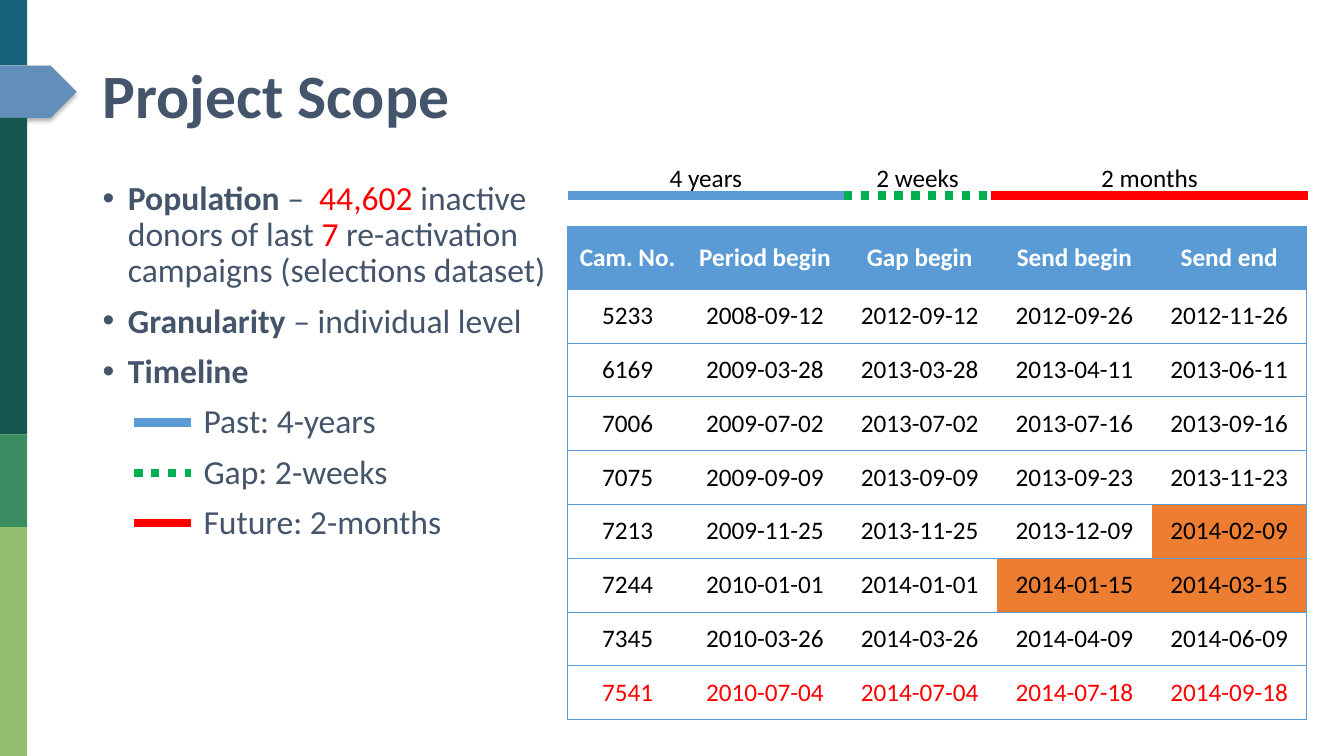
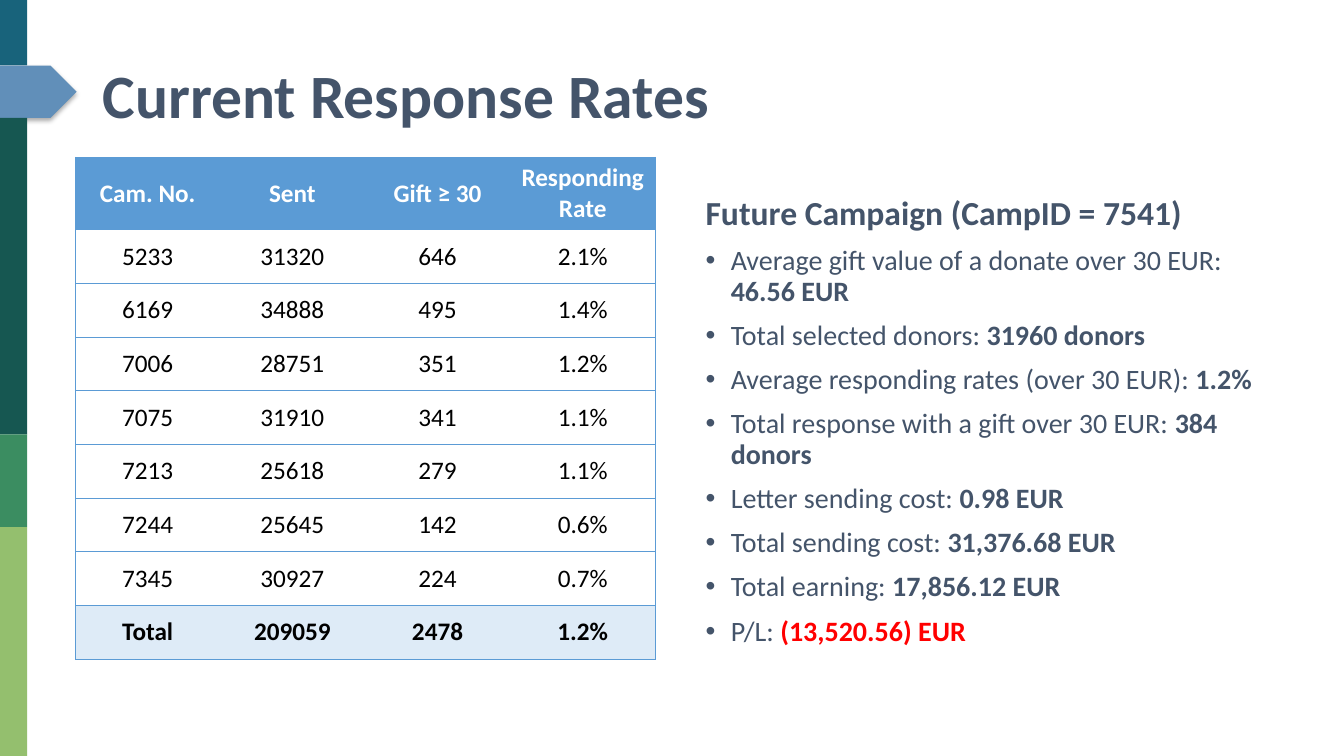
from lxml import etree
from pptx import Presentation
from pptx.dml.color import RGBColor
from pptx.enum.dml import MSO_LINE
from pptx.enum.shapes import MSO_CONNECTOR, MSO_SHAPE
from pptx.enum.text import MSO_ANCHOR, PP_ALIGN
from pptx.oxml.ns import qn
from pptx.util import Inches, Pt

RECT, ARROW = MSO_SHAPE.RECTANGLE, MSO_SHAPE.PENTAGON
STRAIGHT, DOTTED = MSO_CONNECTOR.STRAIGHT, MSO_LINE.ROUND_DOT
CENTER, LEFT = PP_ALIGN.CENTER, PP_ALIGN.LEFT
TOP, MIDDLE = MSO_ANCHOR.TOP, MSO_ANCHOR.MIDDLE

FONT = "Calibri"
SLATE, BLUE, GREEN, RED = "44546A", "5B9BD5", "00B050", "FF0000"
ORANGE, PALE, BLACK, WHITE = "ED7D31", "DEEBF7", "000000", "FFFFFF"
NO_TABLE_STYLE = "{2D5ABB26-0587-4C30-8999-92F81FD0307C}"

# Side band: shape, top, width, height, colour
BAND = [
    (RECT, 0, 0.27, 0.65, "18637B"),
    (ARROW, 0.65, 0.76, 0.52, "618FB9"),
    (RECT, 1.17, 0.27, 3.14, "165751"),
    (RECT, 4.31, 0.27, 0.92, "3B8D61"),
    (RECT, 5.23, 0.27, 2.27, "94BF6E"),
]

# Timeline: start, end, label, legend, colour, dash
PHASES = [
    (5.63, 8.37, "4 years", "Past: 4-years", BLUE, None),
    (8.37, 9.83, "2 weeks", "Gap: 2-weeks", GREEN, DOTTED),
    (9.83, 12.97, "2 months", "Future: 2-months", RED, None),
]

CAMPAIGNS = [
    ["Cam. No.", "Period begin", "Gap begin", "Send begin", "Send end"],
    ["5233", "2008-09-12", "2012-09-12", "2012-09-26", "2012-11-26"],
    ["6169", "2009-03-28", "2013-03-28", "2013-04-11", "2013-06-11"],
    ["7006", "2009-07-02", "2013-07-02", "2013-07-16", "2013-09-16"],
    ["7075", "2009-09-09", "2013-09-09", "2013-09-23", "2013-11-23"],
    ["7213", "2009-11-25", "2013-11-25", "2013-12-09", "2014-02-09"],
    ["7244", "2010-01-01", "2014-01-01", "2014-01-15", "2014-03-15"],
    ["7345", "2010-03-26", "2014-03-26", "2014-04-09", "2014-06-09"],
    ["7541", "2010-07-04", "2014-07-04", "2014-07-18", "2014-09-18"],
]
OVERLAPS = [(5, 4), (6, 3), (6, 4)]

RATES = [
    ["Cam. No.", "Sent", "Gift ≥ 30", "Responding\nRate"],
    ["5233", "31320", "646", "2.1%"],
    ["6169", "34888", "495", "1.4%"],
    ["7006", "28751", "351", "1.2%"],
    ["7075", "31910", "341", "1.1%"],
    ["7213", "25618", "279", "1.1%"],
    ["7244", "25645", "142", "0.6%"],
    ["7345", "30927", "224", "0.7%"],
    ["Total", "209059", "2478", "1.2%"],
]

FORECAST = [
    ("Average gift value of a donate over 30 EUR: ", "46.56 EUR", SLATE),
    ("Total selected donors: ", "31960 donors", SLATE),
    ("Average responding rates (over 30 EUR): ", "1.2%", SLATE),
    ("Total response with a gift over 30 EUR: ", "384 donors", SLATE),
    ("Letter sending cost: ", "0.98 EUR", SLATE),
    ("Total sending cost: ", "31,376.68 EUR", SLATE),
    ("Total earning: ", "17,856.12 EUR", SLATE),
    ("P/L: ", "(13,520.56) EUR", RED),
]


def rgb(color):
    return RGBColor.from_string(color)


def add_xml(parent, tag, **attrs):
    return etree.SubElement(parent, qn(tag), attrs)


# Text
def style_font(font, size=24, color=SLATE, bold=False):
    font.name, font.size, font.bold = FONT, Pt(size), bold
    font.color.rgb = rgb(color)


def add_run(p, text, **fmt):
    r = p.add_run()
    r.text = text
    style_font(r.font, **fmt)


def text_box(s, x, y, w, h, anchor=TOP):
    tf = s.shapes.add_textbox(Inches(x), Inches(y), Inches(w), Inches(h)).text_frame
    tf.word_wrap = True
    tf.vertical_anchor = anchor
    return tf


def add_paragraph(tf, runs, bullet=False, indent=0, spacing=0.9, align=LEFT):
    """Add one paragraph; runs is a list of (text, format) pairs."""
    first = not tf.paragraphs[0].runs
    p = tf.paragraphs[0] if first else tf.add_paragraph()
    pPr = p._p.get_or_add_pPr()
    if bullet:
        indent = 0.25
        pPr.set("indent", str(-Inches(indent)))
        add_xml(pPr, "a:buFont", typeface="Arial")
        add_xml(pPr, "a:buChar", char="•")
    pPr.set("marL", str(Inches(indent)))
    p.alignment, p.line_spacing = align, spacing
    p.space_before = Pt(0 if first else 10)
    for text, fmt in runs:
        add_run(p, text, **fmt)


# Shapes and lines
def band_shape(s, kind, y, w, h, color):
    sp = s.shapes.add_shape(kind, 0, Inches(y), Inches(w), Inches(h))
    sp.fill.solid()
    sp.fill.fore_color.rgb = rgb(color)
    sp.line.fill.background()
    sp.shadow.inherit = False
    if kind == ARROW:
        effects = sp._element.spPr.find(qn("a:effectLst"))
        shadow = add_xml(effects, "a:outerShdw", blurRad=str(Pt(3.5)), dist=str(Pt(2.2)),
                         dir="5400000", algn="t", rotWithShape="0")
        add_xml(add_xml(shadow, "a:srgbClr", val=BLACK), "a:alpha", val="32000")


def thick_line(s, x1, x2, y, color, dash):
    ln = s.shapes.add_connector(STRAIGHT, Inches(x1), Inches(y), Inches(x2), Inches(y))
    ln.line.color.rgb = rgb(color)
    ln.line.width = Pt(6)
    if dash:
        ln.line.dash_style = dash
    add_xml(ln._element.spPr, "a:effectLst")


# Tables
def cell_borders(cell, sides):
    tcPr = cell._tc.get_or_add_tcPr()
    for side in sides:
        ln = add_xml(tcPr, f"a:ln{side}", w=str(Pt(0.5)))
        add_xml(add_xml(ln, "a:solidFill"), "a:srgbClr", val=BLUE)


def data_table(s, rows, x, y, w, h, first_col, header, last_row, fills):
    """Blue header, ruled rows; last_row formats the last row, fills maps cells to colours."""
    n_rows, n_cols = len(rows), len(rows[0])
    table = s.shapes.add_table(n_rows, n_cols, Inches(x), Inches(y), Inches(w), Inches(h)).table
    table.first_row = table.horz_banding = False
    table._tbl.tblPr.find(qn("a:tableStyleId")).text = NO_TABLE_STYLE
    for c, column in enumerate(table.columns):
        column.width = Inches((w - first_col) / (n_cols - 1) if c else first_col)
    for i, row in enumerate(table.rows):
        row.height = Inches((h - header) / (n_rows - 1) if i else header)
        fmt = {"color": BLACK}
        if i == 0:
            fmt = {"color": WHITE, "bold": True}
        elif i == n_rows - 1:
            fmt = last_row
        for c, cell in enumerate(row.cells):
            cell_borders(cell, ("L" if c == 0 else "") + ("R" if c == n_cols - 1 else "") + "TB")
            fill = fills.get((i, c), None if i else BLUE)
            if fill:
                cell.fill.solid()
                cell.fill.fore_color.rgb = rgb(fill)
            cell.vertical_anchor = MIDDLE
            cell.text = rows[i][c]
            for p in cell.text_frame.paragraphs:
                p.alignment = CENTER
                style_font(p.runs[0].font, size=18, **fmt)


# Slides
def base_slide(prs, title):
    s = prs.slides.add_slide(prs.slide_layouts[6])
    for part in BAND:
        band_shape(s, *part)
    tf = text_box(s, 0.92, 0.4, 11.5, 1.16, MIDDLE)
    add_paragraph(tf, [(title, {"size": 44, "bold": True})])
    return s


def scope_slide(prs):
    s = base_slide(prs, "Project Scope")
    bold, red = {"bold": True}, {"color": RED}
    tf = text_box(s, 0.92, 1.75, 4.72, 5)
    add_paragraph(tf, [("Population", bold), (" –  ", {}), ("44,602", red),
                       (" inactive donors of last ", {}), ("7", red),
                       (" re-activation campaigns (selections dataset)", {})], bullet=True)
    add_paragraph(tf, [("Granularity", bold), (" – individual level", {})], bullet=True)
    add_paragraph(tf, [("Timeline", bold)], bullet=True)

    # Legend beside the text, timeline above the table
    label_w = 1.29
    for i, (start, end, label, legend, color, dash) in enumerate(PHASES):
        add_paragraph(tf, [(legend, {})], indent=1)
        thick_line(s, 1.33, 1.89, 4.19 + 0.5 * i, color, dash)
        thick_line(s, start, end, 1.94, color, dash)
        label_tf = text_box(s, (start + end - label_w) / 2, 1.56, label_w, 0.4)
        add_paragraph(label_tf, [(label, {"size": 18, "color": BLACK})],
                      spacing=1, align=CENTER)

    data_table(s, CAMPAIGNS, 5.63, 2.25, 7.33, 4.89, first_col=1.19, header=0.62,
               last_row=red, fills={pos: ORANGE for pos in OVERLAPS})


def rates_slide(prs):
    s = base_slide(prs, "Current Response Rates")
    tf = text_box(s, 6.9, 1.9, 5.97, 4.62)
    add_paragraph(tf, [("Future Campaign (CampID = 7541)", {"bold": True})])
    for label, value, color in FORECAST:
        add_paragraph(tf, [(label, {"size": 20}),
                           (value, {"size": 20, "color": color, "bold": True})], bullet=True)
    total = len(RATES) - 1
    data_table(s, RATES, 0.75, 1.56, 5.75, 4.98, first_col=1.43, header=0.72,
               last_row={"color": BLACK, "bold": True},
               fills={(total, c): PALE for c in range(len(RATES[0]))})


def main():
    prs = Presentation()
    prs.slide_width, prs.slide_height = Inches(13.33), Inches(7.5)
    scope_slide(prs)
    rates_slide(prs)
    prs.save("out.pptx")


if __name__ == "__main__":
    main()
